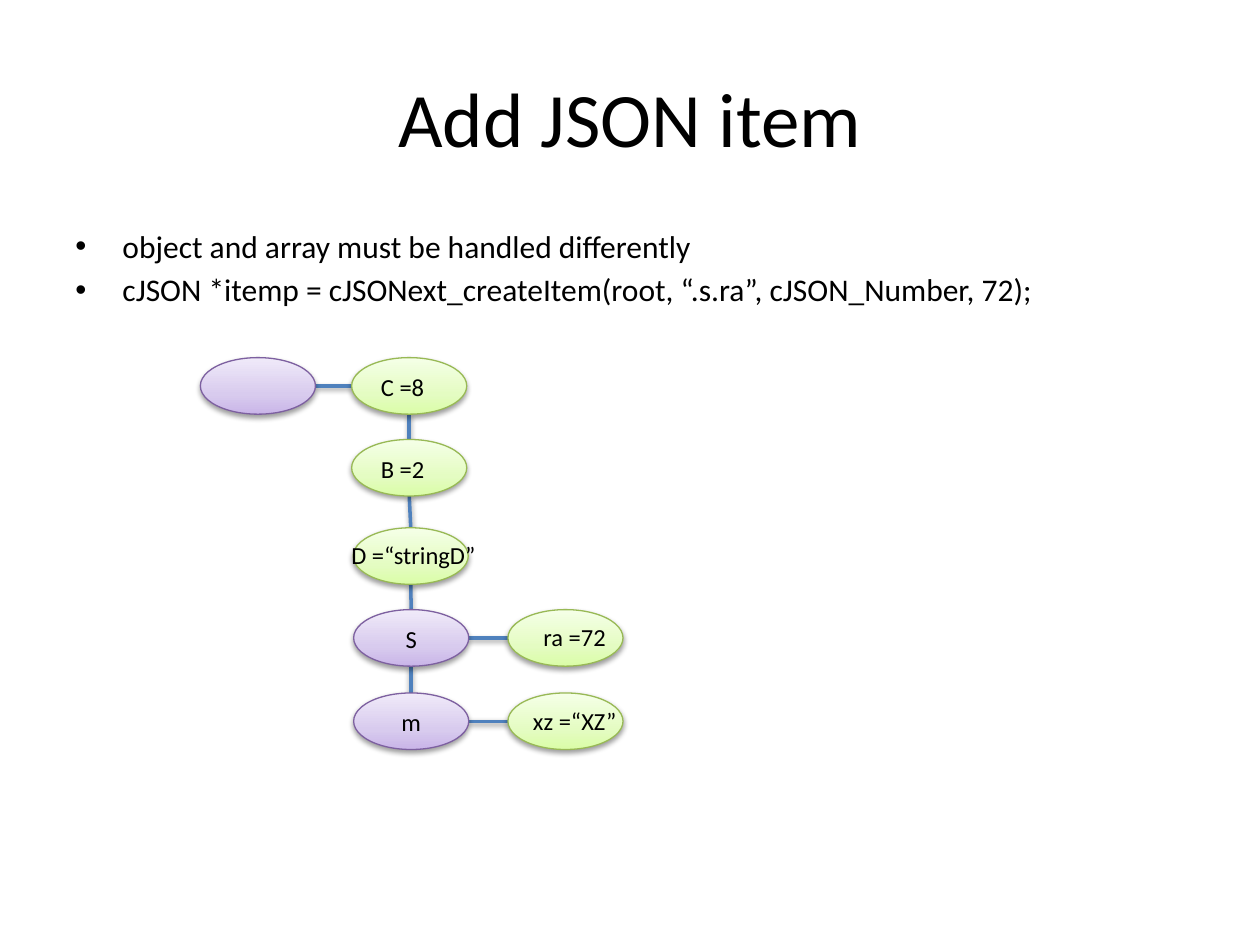
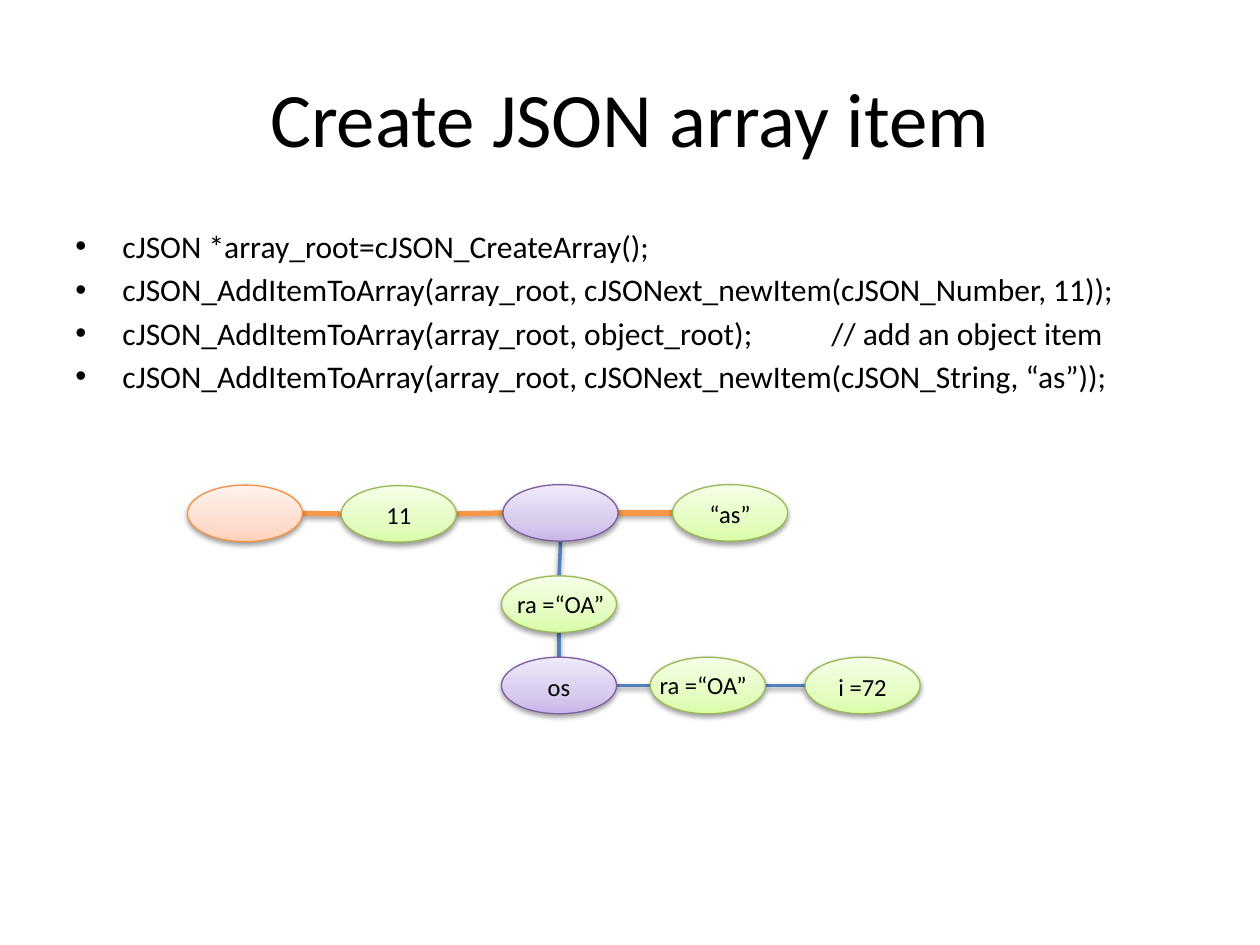
from lxml import etree
from pptx import Presentation
from pptx.dml.color import RGBColor
from pptx.enum.shapes import MSO_CONNECTOR, MSO_SHAPE
from pptx.enum.text import MSO_ANCHOR, PP_ALIGN
from pptx.oxml.ns import qn
from pptx.util import Cm, Pt

LEFT, CENTER = PP_ALIGN.LEFT, PP_ALIGN.CENTER
TOP, MIDDLE = MSO_ANCHOR.TOP, MSO_ANCHOR.MIDDLE
ELLIPSE, STRAIGHT = MSO_SHAPE.OVAL, MSO_CONNECTOR.STRAIGHT

FONT = "Calibri"
COLORS = {
    "text": "000000", "shadow": "000000",
    "object link": "4F81BD", "array link": "F79646",
    "value line": "98B955", "object line": "7D60A0", "array line": "F69240",
}
# Gradient stops from bottom to top: position in percent, colour
GRADIENTS = {
    "value": [(0, "DAFDA7"), (35, "E4FCC2"), (100, "F5FFE7")],
    "object": [(0, "C9B5E8"), (35, "D8CBEE"), (100, "F0EAF9")],
    "array": [(0, "FFD2BD"), (35, "FFDED0"), (100, "FFF2ED")],
}
LINK_WIDTHS = {"object link": 2, "array link": 3}

NODE_W, NODE_H = 2.32, 1.14
LABEL_DROP, LABEL_H = 0.13, 0.86

# Nodes: key -> (kind, left, top, text, format) in cm.
# "label" is the shift and width of a text box laid over the node.
SLIDES = [
    {
        "title": "Add JSON item",
        "points": [
            "object and array must be handled differently",
            "cJSON *itemp = cJSONext_createItem(root, “.s.ra”, cJSON_Number, 72);",
        ],
        "nodes": {
            "root": ("object", 4.04, 7.21, "", {}),
            "C": ("value", 7.09, 7.21, "C =8", {"align": LEFT}),
            "B": ("value", 7.09, 8.86, "B =2", {"align": LEFT}),
            "D": ("value", 7.12, 10.64, "D =“stringD”", {"label": (-0.51, 3.45)}),
            "S": ("object", 7.13, 12.29, "S", {}),
            "ra": ("value", 10.24, 12.29, "ra =72", {"label": (0, 2.69)}),
            "m": ("object", 7.13, 13.97, "m", {}),
            "xz": ("value", 10.24, 13.97, "xz =“XZ”", {"label": (0, 2.69)}),
        },
        "links": {
            "object link": [("root", "C"), ("C", "B"), ("B", "D"), ("D", "S"),
                            ("S", "ra"), ("S", "m"), ("m", "xz")],
        },
    },
    {
        "title": "Create JSON array item",
        "points": [
            "cJSON *array_root=cJSON_CreateArray();",
            "cJSON_AddItemToArray(array_root, cJSONext_newItem(cJSON_Number, 11));",
            "cJSON_AddItemToArray(array_root, object_root);\t\t// add an object item",
            "cJSON_AddItemToArray(array_root, cJSONext_newItem(cJSON_String, “as”));",
        ],
        "nodes": {
            "array": ("array", 3.78, 9.78, "", {}),
            "11": ("value", 6.88, 9.79, "11", {}),
            "object": ("object", 10.14, 9.77, "", {}),
            "as": ("value", 13.56, 9.77, "“as”", {}),
            "ra": ("value", 10.11, 11.61, "ra =“OA”", {"label": (-0.15, 2.69)}),
            "os": ("object", 10.11, 13.25, "os", {}),
            "os ra": ("value", 13.11, 13.25, "ra =“OA”", {"label": (-0.28, 2.69)}),
            "i": ("value", 16.23, 13.25, "i =72", {}),
        },
        "links": {
            "array link": [("array", "11"), ("11", "object"), ("object", "as")],
            "object link": [("object", "ra"), ("ra", "os"), ("os", "os ra"),
                            ("os ra", "i")],
        },
    },
]


def write(frame, paragraphs, size=14, align=CENTER, anchor=TOP, bullet=None, gap=0):
    frame.word_wrap = True
    frame.vertical_anchor = anchor
    for number, text in enumerate(paragraphs):
        paragraph = frame.add_paragraph() if number else frame.paragraphs[0]
        if bullet:
            properties = paragraph._p.get_or_add_pPr()
            properties.set("marL", str(Cm(0.95)))
            properties.set("indent", str(-Cm(0.95)))
            properties.set("defTabSz", str(Cm(1.27)))
            etree.SubElement(properties, qn("a:buFont")).set("typeface", "Arial")
            etree.SubElement(properties, qn("a:buChar")).set("char", bullet)
        paragraph.alignment = align
        if number and gap:
            paragraph.space_before = Pt(gap)
        run = paragraph.add_run()
        run.text = text
        run.font.name = FONT
        run.font.size = Pt(size)
        run.font.color.rgb = RGBColor.from_string(COLORS["text"])


def add_text(slide, left, top, width, height, paragraphs, **style):
    box = slide.shapes.add_textbox(Cm(left), Cm(top), Cm(width), Cm(height))
    write(box.text_frame, paragraphs, **style)


def add_color(parent, color):
    element = etree.SubElement(parent, qn("a:srgbClr"))
    element.set("val", color)
    return element


def add_shadow(properties):
    """Give the shape properties a soft shadow that falls straight down."""
    effects = properties.find(qn("a:effectLst"))
    if effects is None:
        effects = etree.SubElement(properties, qn("a:effectLst"))
    shadow = etree.SubElement(effects, qn("a:outerShdw"), blurRad="40000",
                              dist="20000", dir="5400000", rotWithShape="0")
    color = add_color(shadow, COLORS["shadow"])
    etree.SubElement(color, qn("a:alpha")).set("val", "38000")


def add_node(slide, kind, left, top, text, label=None, align=CENTER):
    node = slide.shapes.add_shape(ELLIPSE, Cm(left), Cm(top), Cm(NODE_W), Cm(NODE_H))
    node.fill.gradient()
    node.fill.gradient_angle = 90
    properties = node._element.spPr
    stops = properties.find(qn("a:gradFill")).find(qn("a:gsLst"))
    for stop in list(stops):
        stops.remove(stop)
    for position, color in GRADIENTS[kind]:
        stop = etree.SubElement(stops, qn("a:gs"), pos=str(position * 1000))
        add_color(stop, color)
    node.line.color.rgb = RGBColor.from_string(COLORS[f"{kind} line"])
    node.line.width = Pt(0.75)
    node.shadow.inherit = False
    add_shadow(properties)
    if label:
        shift, width = label
        add_text(slide, left + shift, top + LABEL_DROP, width, LABEL_H, [text])
    elif text:
        write(node.text_frame, [text], align=align)


def add_link(slide, start, end, kind):
    """Join two nodes side to side in one row, otherwise bottom to top."""
    (x1, y1), (x2, y2) = start[1:3], end[1:3]
    if abs(y2 - y1) < NODE_H:
        ends = x1 + NODE_W, y1 + NODE_H / 2, x2, y2 + NODE_H / 2
    else:
        ends = x1 + NODE_W / 2, y1 + NODE_H, x2 + NODE_W / 2, y2
    link = slide.shapes.add_connector(STRAIGHT, *(Cm(value) for value in ends))
    link.line.color.rgb = RGBColor.from_string(COLORS[kind])
    link.line.width = Pt(LINK_WIDTHS[kind])
    add_shadow(link._element.spPr)


def build_slide(deck, content):
    slide = deck.slides.add_slide(deck.slide_layouts[6])
    add_text(slide, 1.27, 0.76, 22.86, 3.18, [content["title"]], size=44, anchor=MIDDLE)
    add_text(slide, 1.27, 4.45, 22.86, 12.57, content["points"],
             size=18, align=LEFT, bullet="•", gap=3.2)
    nodes = content["nodes"]
    for kind, pairs in content["links"].items():
        for start, end in pairs:
            add_link(slide, nodes[start], nodes[end], kind)
    for kind, left, top, text, style in nodes.values():
        add_node(slide, kind, left, top, text, **style)


def main():
    deck = Presentation()
    deck.slide_width, deck.slide_height = Cm(25.4), Cm(19.05)
    for content in SLIDES:
        build_slide(deck, content)
    deck.save("out.pptx")


if __name__ == "__main__":
    main()
